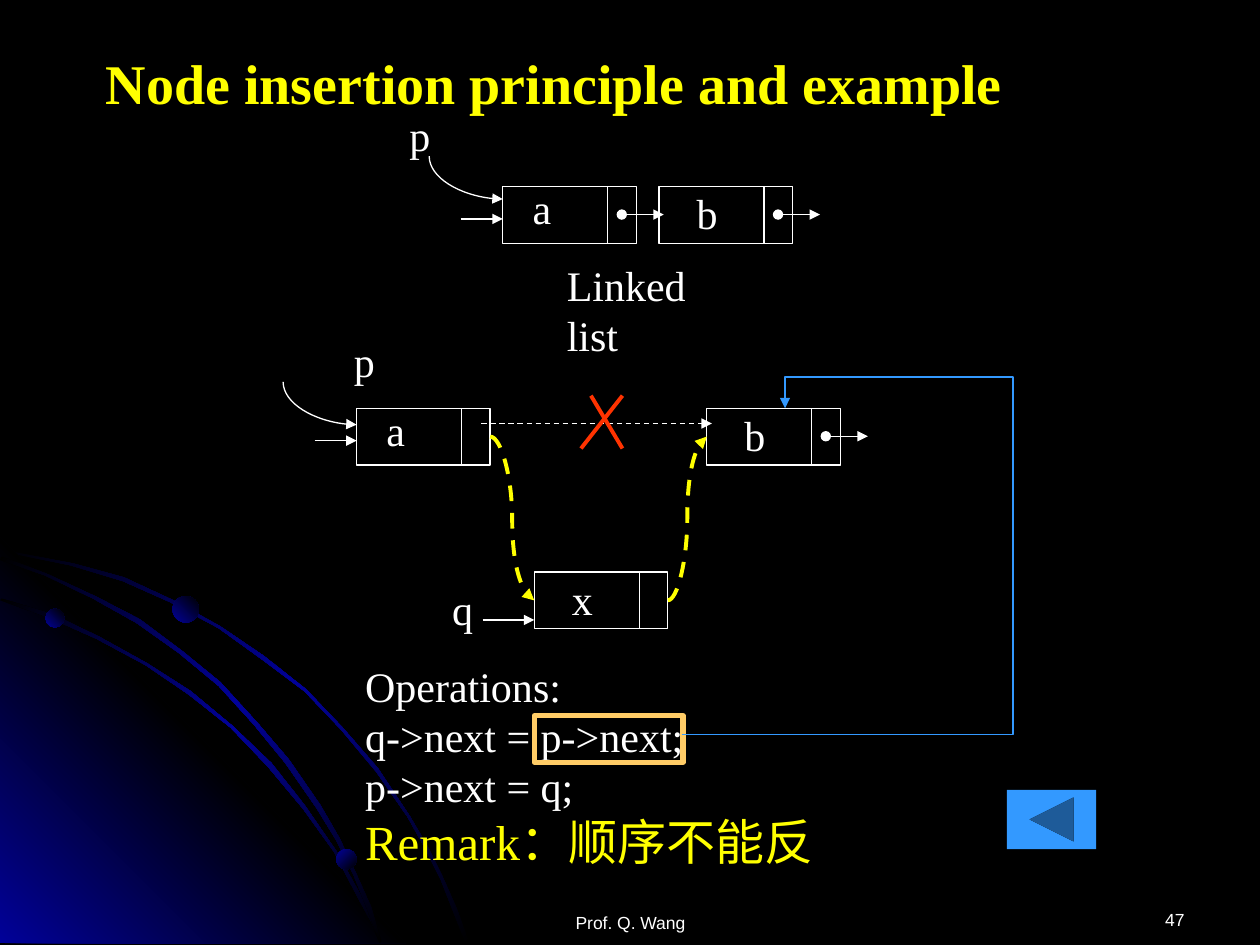
from lxml import etree
from pptx import Presentation
from pptx import util as u
from pptx.dml.color import RGBColor
from pptx.enum import dml, shapes, text
from pptx.oxml.ns import qn

Pt = u.Pt
WHITE, YELLOW, BLUE, NAVY, BLACK = "FFFFFF", "FFFF00", "3399FF", "010199", "000000"
SERIF, SANS = "Times New Roman", "Arial"
LINE, CURVE, ELBOW = (shapes.MSO_CONNECTOR.STRAIGHT, shapes.MSO_CONNECTOR.CURVE,
                      shapes.MSO_CONNECTOR.ELBOW)
NODE_W, NODE_H, CELL_X = 76.3, 32.4, 60
BAND = 1.4

# Lower edges of the three curved bands, relative to the backdrop's corner
ARC_OUTER = [(0, 8), (20, 11.6), (40.3, 15.9), (69.8, 24.5), (97.2, 36.8), (124.6, 51.9),
             (149.8, 69.2), (173.5, 87.9), (195.1, 109.5), (214.6, 133.2), (232.6, 159.9),
             (242.6, 177.2), (252, 195.2), (259.2, 213.2), (266.4, 231.9)]
ARC_INNER = [(0, 36), (28.1, 45.4), (55.4, 57.6), (82.8, 72.8), (108, 89.3), (131.8, 108.8),
             (153.4, 130.4), (172.8, 154.1), (190.8, 180), (205.2, 206.7), (211.7, 219.6),
             (216.7, 231.9)]
ARC_MIDDLE = [(0, 12.3), (25.9, 21.6), (53.3, 34.6), (78.5, 48.3), (102.2, 65.6),
              (124.6, 84.3), (145.4, 106.6), (163.4, 128.2), (181.4, 154.1), (192.2, 172.8),
              (201.6, 192.3), (210.2, 212.4), (216.7, 231.9)]


def rgb(color):
    return RGBColor.from_string(color)


def style(p, size, color, font=SERIF, bold=False):
    for r in p.runs:
        r.font.size, r.font.name, r.font.bold = Pt(size), font, bold
        r.font.color.rgb = rgb(color)


def add_text(slide, x, y, w, h, words, size=24, font=SERIF, wrap=False):
    sp = slide.shapes.add_textbox(Pt(x), Pt(y), Pt(w), Pt(h))
    tf = sp.text_frame
    tf.word_wrap = wrap
    tf.text = words
    for p in tf.paragraphs:
        style(p, size, WHITE, font)
    return tf


def add_box(slide, x, y, w, h, line=None, weight=0.75, fill=None,
            kind=shapes.MSO_SHAPE.RECTANGLE):
    sp = slide.shapes.add_shape(kind, Pt(x), Pt(y), Pt(w), Pt(h))
    sp.shadow.inherit = False
    if fill:
        sp.fill.solid()
        sp.fill.fore_color.rgb = rgb(fill)
    else:
        sp.fill.background()
    if line:
        sp.line.color.rgb = rgb(line)
        sp.line.width = Pt(weight)
    else:
        sp.line.fill.background()
    return sp


def add_line(slide, x1, y1, x2, y2, color=WHITE, weight=0.75, kind=LINE,
             head=None, tail=None, dash=False):
    c = slide.shapes.add_connector(kind, Pt(x1), Pt(y1), Pt(x2), Pt(y2))
    c.line.color.rgb = rgb(color)
    c.line.width = Pt(weight)
    if dash:
        c.line.dash_style = dml.MSO_LINE.DASH
    ln = c.line._get_or_add_ln()
    for tag, end in (("a:headEnd", head), ("a:tailEnd", tail)):
        if end:
            etree.SubElement(ln, qn(tag), type=end)
    etree.SubElement(c._element.spPr, qn("a:effectLst"))
    return c


def set_preset(connector, name, **adjustments):
    geom = connector._element.spPr.find(qn("a:prstGeom"))
    geom.set("prst", name)
    guides = geom.find(qn("a:avLst"))
    for key, value in adjustments.items():
        etree.SubElement(guides, qn("a:gd"), name=key, fmla=f"val {value}")


def add_gradient(sp, colors, angle):
    """Spread the colours evenly along a clockwise angle."""
    sp.shadow.inherit = False
    sp.line.fill.background()
    sp.fill.gradient()
    grad = sp._element.spPr.find(qn("a:gradFill"))
    stops = grad.find(qn("a:gsLst"))
    for stop in list(stops):
        stops.remove(stop)
    for i, color in enumerate(colors):
        stop = etree.SubElement(stops, qn("a:gs"), pos=str(100000 * i // (len(colors) - 1)))
        etree.SubElement(stop, qn("a:srgbClr"), val=color)
    grad.find(qn("a:lin")).set("ang", str(angle * 60000))


def add_outline(slide, x, y, points):
    points = [(x + px, y + py) for px, py in points]
    builder = slide.shapes.build_freeform(*points[0], scale=Pt(1))
    builder.add_line_segments(points[1:], close=True)
    return builder.convert_to_shape()


def add_backdrop(slide, x, y):
    def band(edge):
        upper = [(px + BAND, py - BAND) for px, py in reversed(edge)]
        add_gradient(add_outline(slide, x, y, edge + upper), [BLACK, NAVY, BLACK], 45)

    band(ARC_OUTER)
    wedge = add_outline(slide, x, y, [(232, 232), (0, 232), (0, 0)])
    add_gradient(wedge, [NAVY, BLACK, NAVY], 315)
    band(ARC_INNER)
    band(ARC_MIDDLE)
    for dx, dy, size, angle in ((26, 40.4, 10.8, 315), (192.2, 177.9, 11.5, 45),
                                (98.6, 33.2, 15.1, 315)):
        dot = add_box(slide, x + dx, y + dy, size, size, kind=shapes.MSO_SHAPE.OVAL)
        add_gradient(dot, [NAVY, BLACK], angle)


def add_node(slide, x, y, label, label_dx=14.4, label_dy=-2.9, link=False):
    add_box(slide, x, y, NODE_W, NODE_H, WHITE)
    add_line(slide, x + CELL_X, y, x + CELL_X, y + NODE_H)
    if link:
        add_line(slide, x + 68, y + 16, x + 92, y + 16, head="oval", tail="triangle")
    add_text(slide, x + label_dx, y + label_dy, 26.6, 36, label)


def add_entry(slide, x, y, label_dx, label_dy, curve_y):
    """Pointer p, with its curved and straight arrows, into the node at x, y."""
    add_text(slide, x + label_dx, y + label_dy, 26.6, 36, "p")
    w, h = 42, 24.5
    left = x - w + (w - h) / 2
    top = y + curve_y - h - (w - h) / 2
    c = add_line(slide, left, top, left + h, top + w, kind=CURVE, tail="triangle")
    set_preset(c, "curvedConnector2")
    xfrm = c._element.spPr.find(qn("a:xfrm"))
    xfrm.set("rot", "16200000")
    xfrm.set("flipH", "1")
    add_line(slide, x - 24, y + 18.5, x, y + 18.5, tail="triangle")


def add_list_before(slide, x, y):
    add_node(slide, x, y, "a", 10, -5.8, link=True)
    add_node(slide, x + 89.3, y, "b", link=True)
    add_entry(slide, x, y, -60.5, -47.5, 7.2)
    add_text(slide, x + 29.5, y + 38.1, 117.4, 36, "Linked list")


def add_list_after(slide, x, y):
    b_x, new_x, new_y = x + 200.1, x + 101.5, y + 93.6
    add_node(slide, x, y, "a", 10, -5.8)
    add_node(slide, b_x, y, "b", link=True)
    add_node(slide, new_x, new_y, "x")
    add_entry(slide, x, y, -8.6, -45.4, 9.4)
    add_text(slide, new_x - 54, new_y + 2.9, 26.6, 36, "q")
    add_line(slide, new_x - 29.5, new_y + 27.4, new_x, new_y + 27.4, tail="triangle")

    add_line(slide, x + 71.3, y + 8.7, b_x + 2.9, y + 8.7, tail="triangle", dash=True)
    for x1, x2 in ((133.9, 151.9), (151.9, 128.2)):
        add_line(slide, x + x1, y - 7.2, x + x2, y + 23, "FF3300", 2.25)

    middle, new_middle = y + NODE_H / 2, new_y + NODE_H / 2
    for ends in ((x + NODE_W, middle, new_x, new_middle),
                 (new_x + NODE_W, new_middle, b_x, middle)):
        add_line(slide, *ends, YELLOW, 2.25, CURVE, tail="triangle", dash=True)


def add_operations(slide, x, y, target_x, target_y):
    """Code lines, with a path from the framed term to the target node."""
    tf = add_text(slide, x, y, 270.7, 127.4,
                  "Operations:\nq->next = p->next;\np->next = q;\nRemark：顺序不能反", wrap=True)
    style(tf.paragraphs[-1], 28, YELLOW)
    add_box(slide, x + 103.7, y + 35.3, 85, 26.6, "FFCC66", 3)
    c = add_line(slide, x + 188, y + 46.1, target_x, target_y, BLUE, kind=ELBOW,
                 tail="triangle")
    set_preset(c, "bentConnector4", adj1=320900, adj2=109600)


def add_title(slide, x, y, w, h):
    sp = slide.shapes.title
    sp.left, sp.top, sp.width, sp.height = Pt(x), Pt(y), Pt(w), Pt(h)
    tf = sp.text_frame
    tf.text = "Node insertion principle and example"
    tf.vertical_anchor = text.MSO_ANCHOR.MIDDLE
    tf.paragraphs[0].alignment = text.PP_ALIGN.LEFT
    style(tf.paragraphs[0], 32, YELLOW, bold=True)


def add_footer(slide, x, y, w, words, align):
    tf = add_text(slide, x, y, w, 36, words, 10, SANS, wrap=True)
    tf.margin_top = Pt(15)
    tf.paragraphs[0].alignment = align


def main():
    prs = Presentation()
    prs.slide_width, prs.slide_height = Pt(720), Pt(540)
    slide = prs.slides.add_slide(prs.slide_layouts[5])
    slide.background.fill.solid()
    slide.background.fill.fore_color.rgb = rgb(BLACK)
    add_backdrop(slide, 0, 307.4)
    add_title(slide, 53.3, 17.3, 612, 59.8)
    add_list_before(slide, 287.3, 106.6)
    add_list_after(slide, 203.8, 233.3)
    add_operations(slide, 201.6, 373.7, 448.6, 233.3)
    add_box(slide, 575.3, 451.4, 51.1, 33.8, fill=BLUE,
            kind=shapes.MSO_SHAPE.ACTION_BUTTON_BACK_OR_PREVIOUS)
    add_footer(slide, 246.2, 506.2, 228.2, "Prof. Q. Wang", text.PP_ALIGN.CENTER)
    add_footer(slide, 516.2, 504.7, 167.8, "47", text.PP_ALIGN.RIGHT)
    prs.save("out.pptx")


if __name__ == "__main__":
    main()
